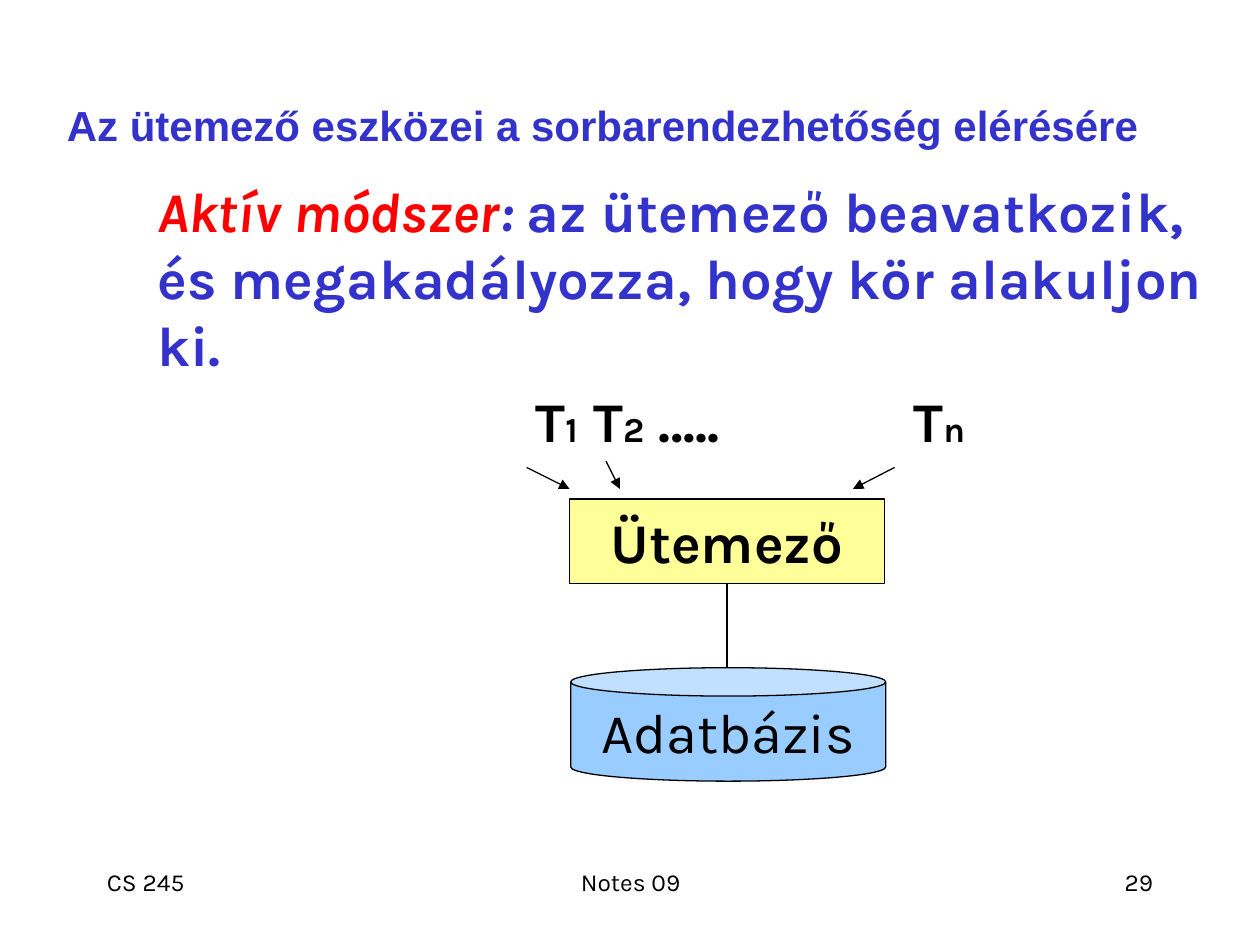
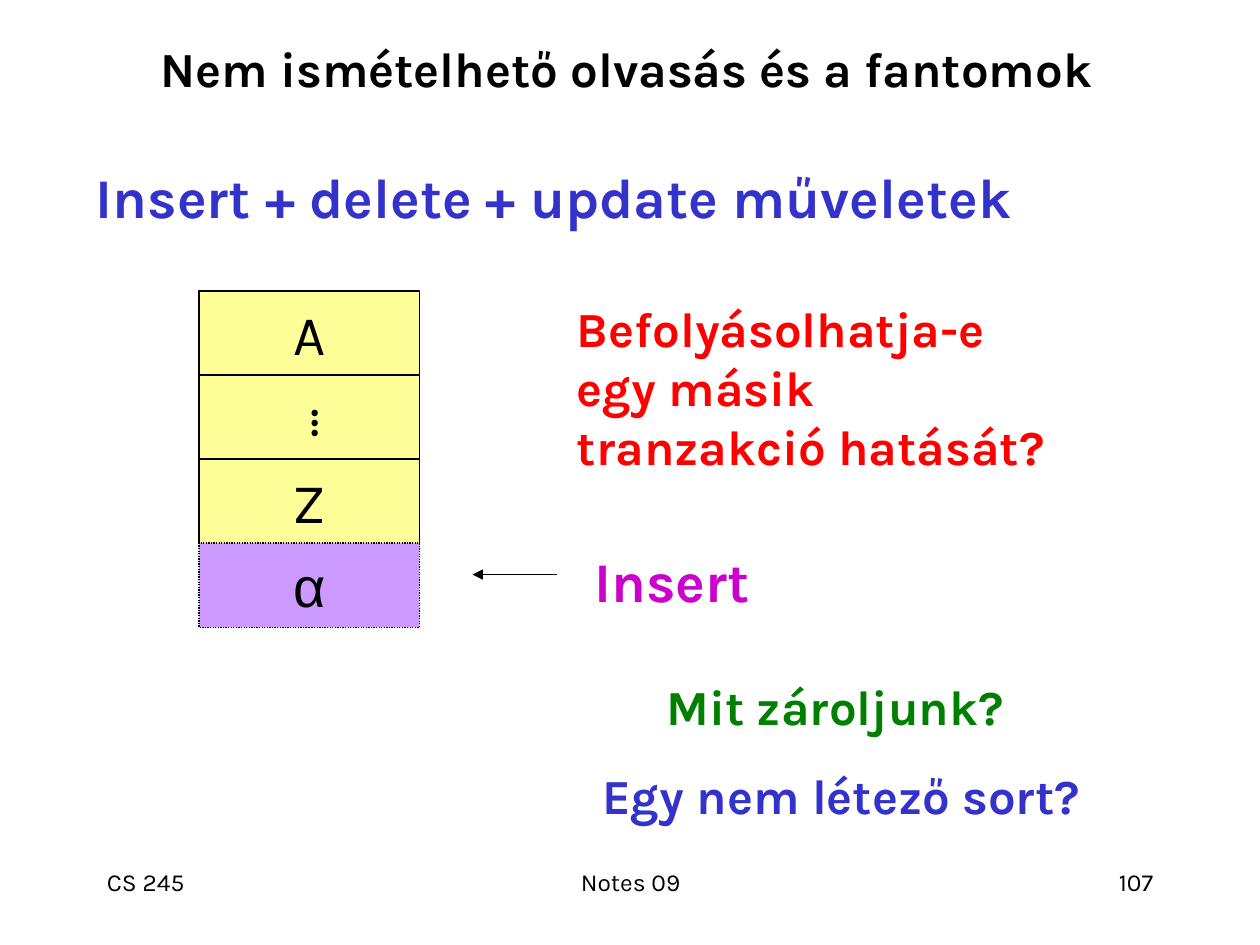
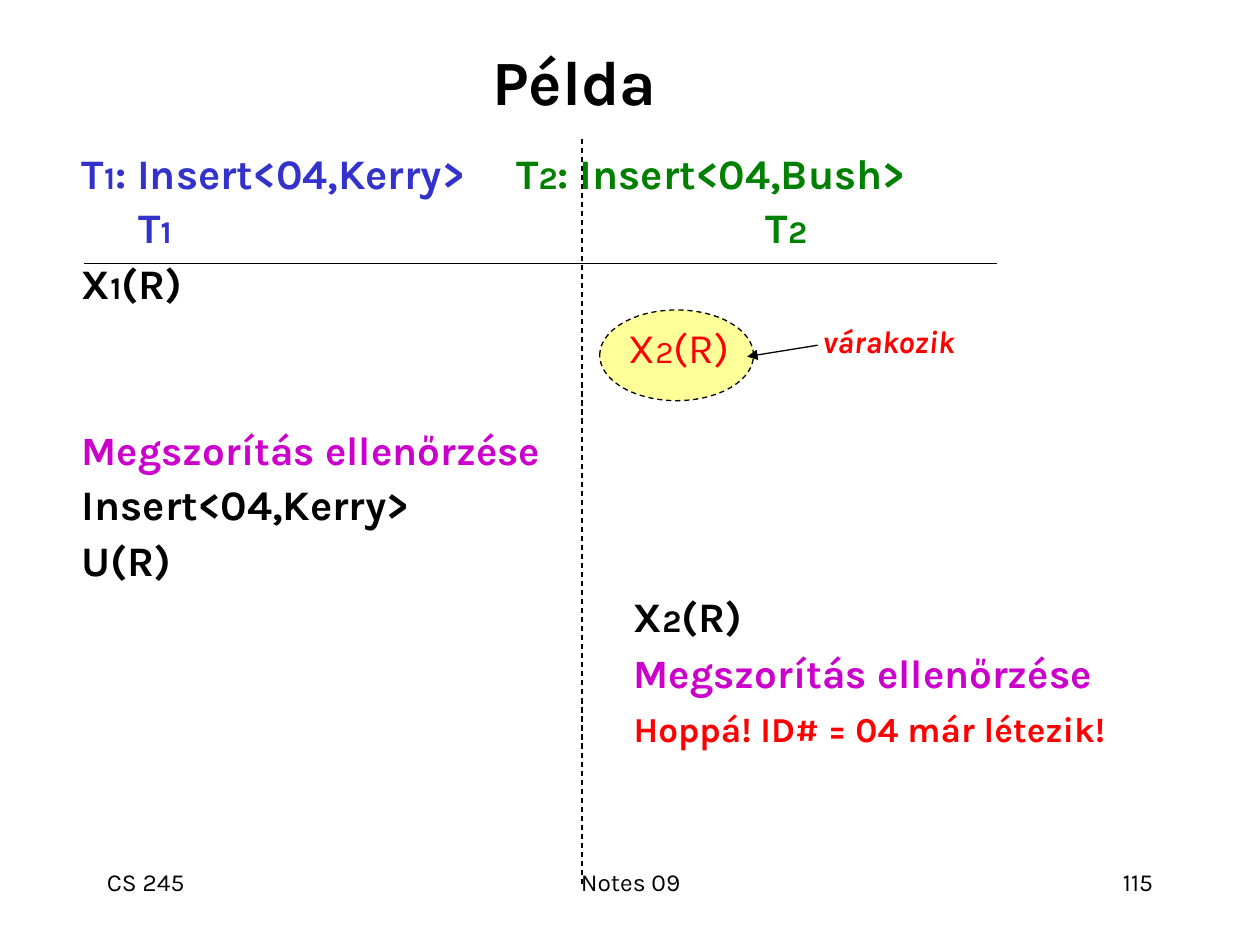
from dataclasses import dataclass

from lxml import etree
from pptx import Presentation
from pptx.dml.color import RGBColor
from pptx.enum.dml import MSO_LINE
from pptx.enum.shapes import MSO_CONNECTOR, MSO_SHAPE
from pptx.enum.text import MSO_ANCHOR, MSO_AUTO_SIZE, PP_ALIGN
from pptx.oxml.ns import qn
from pptx.util import Inches, Pt

LEFT, CENTER, RIGHT = PP_ALIGN.LEFT, PP_ALIGN.CENTER, PP_ALIGN.RIGHT
TOP, MIDDLE = MSO_ANCHOR.TOP, MSO_ANCHOR.MIDDLE
DASH, DOT = MSO_LINE.DASH, MSO_LINE.ROUND_DOT
RECTANGLE, CAN, OVAL = MSO_SHAPE.RECTANGLE, MSO_SHAPE.CAN, MSO_SHAPE.OVAL
STRAIGHT = MSO_CONNECTOR.STRAIGHT
TITLE_ONLY = 5
BOTTOM_SIDE = 2


@dataclass(frozen=True)
class Theme:
    font: str = "Karla"
    plain_font: str = "Arial"
    black: str = "000000"
    blue: str = "3333CC"
    red: str = "FF0000"
    green: str = "008000"
    magenta: str = "CC00CC"
    yellow: str = "FFFF99"
    sky: str = "99CCFF"
    violet: str = "CC99FF"
    headline: int = 36
    large: int = 32
    medium: int = 28
    body: int = 24
    check: int = 23
    small: int = 20
    index: int = 18
    footer: int = 14
    line: float = 0.75


THEME = Theme()


@dataclass
class Span:
    text: str
    size: int
    color: str = THEME.black
    bold: bool = True
    italic: bool = False
    font: str = THEME.font


@dataclass
class Para:
    spans: list
    align: PP_ALIGN = LEFT
    before: float = 0
    spacing: float = 1.0
    tabs: tuple = ()


def add_tabs(para, stops):
    tab_list = etree.SubElement(para._p.get_or_add_pPr(), qn("a:tabLst"))
    for stop in stops:
        etree.SubElement(tab_list, qn("a:tab"), pos=str(Inches(stop)), algn="l")


def write_text(box, paras, anchor=TOP, wrap=True, margin_left=0.1):
    frame = box.text_frame
    frame.auto_size = MSO_AUTO_SIZE.NONE
    frame.word_wrap = wrap
    frame.vertical_anchor = anchor
    frame.margin_left = Inches(margin_left)
    frame.margin_right = Inches(0.1)
    frame.margin_top = frame.margin_bottom = Inches(0.05)
    for number, content in enumerate(paras):
        para = frame.add_paragraph() if number else frame.paragraphs[0]
        if content.tabs:
            add_tabs(para, content.tabs)
        para.alignment = content.align
        para.space_before = Pt(content.before)
        para.line_spacing = content.spacing
        for span in content.spans:
            run = para.add_run()
            run.text = span.text
            run.font.name = span.font
            run.font.size = Pt(span.size)
            run.font.bold = span.bold
            run.font.italic = span.italic
            run.font.color.rgb = RGBColor.from_string(span.color)


def add_text(page, place, paras, **options):
    box = page.shapes.add_textbox(*map(Inches, place))
    write_text(box, paras, **options)
    return box


def style_line(line, dash=None):
    line.color.rgb = RGBColor.from_string(THEME.black)
    line.width = Pt(THEME.line)
    if dash:
        line.dash_style = dash


def add_figure(page, kind, place, fill, span=None, dash=None):
    figure = page.shapes.add_shape(kind, *map(Inches, place))
    figure.shadow.inherit = False
    figure.fill.solid()
    figure.fill.fore_color.rgb = RGBColor.from_string(fill)
    style_line(figure.line, dash)
    if span:
        write_text(figure, [Para([span], CENTER)], MIDDLE, wrap=False)
    return figure


def add_line(page, start, end, arrow=False, dash=None):
    connector = page.shapes.add_connector(STRAIGHT, *map(Inches, start + end))
    style_line(connector.line, dash)
    if arrow:
        etree.SubElement(connector.line._get_or_add_ln(), qn("a:tailEnd"), type="triangle")
    etree.SubElement(connector._element.spPr, qn("a:effectLst"))
    return connector


def add_page(deck, number, title_place, title, align=LEFT):
    page = deck.slides.add_slide(deck.slide_layouts[TITLE_ONLY])
    box = page.shapes.title
    box.left, box.top, box.width, box.height = map(Inches, title_place)
    write_text(box, [Para([title], align)], MIDDLE)
    footers = (
        ("CS 245", 0.75, 2.08, LEFT),
        ("Notes 09", 3.42, 3.17, CENTER),
        (str(number), 7.17, 2.08, RIGHT),
    )
    for text, left, width, side in footers:
        span = Span(text, THEME.footer, bold=False)
        add_text(page, (left, 6.83, width, 0.5), [Para([span], side)])
    return page


def indexed(letter, index, size, index_size, color=THEME.black, tail="", bold=True):
    spans = [Span(letter, size, color, bold), Span(index, index_size, color, bold)]
    if tail:
        spans.append(Span(tail, size, color, bold))
    return spans


def build_scheduler(deck):
    title = Span("Az ütemező eszközei a sorbarendezhetőség elérésére", THEME.body,
                 THEME.blue, font=THEME.plain_font)
    page = add_page(deck, 29, (0.43, 0.54, 9.28, 0.9), title)
    method = [
        Span("Aktív módszer", THEME.large, THEME.red, italic=True),
        Span(": ", THEME.large, THEME.blue, italic=True),
        Span("az ütemező beavatkozik, és megakadályozza, hogy kör alakuljon ki.",
             THEME.large, THEME.blue),
    ]
    transactions = (
        indexed("\tT", "1", THEME.large, THEME.small)
        + indexed("\tT", "2", THEME.large, THEME.small, tail=" …..")
        + indexed("\tT", "n", THEME.large, THEME.small)
    )
    add_text(page, (0.77, 1.35, 8.97, 5.11),
             [Para(method), Para(transactions, before=5, tabs=(3, 3.46, 6))],
             margin_left=0.48)
    scheduler = add_figure(page, RECTANGLE, (4.52, 3.96, 2.5, 0.67), THEME.yellow,
                           Span("Ütemező", THEME.large))
    add_figure(page, CAN, (4.53, 5.3, 2.5, 0.9), THEME.sky,
               Span("Adatbázis", THEME.large, bold=False))
    link = add_line(page, (5.77, 4.63), (5.77, 5.3))
    link.begin_connect(scheduler, BOTTOM_SIDE)
    for start, end in (((4.18, 3.71), (4.52, 3.88)),
                       ((4.81, 3.66), (4.92, 3.88)),
                       ((7.1, 3.71), (6.77, 3.88))):
        add_line(page, start, end, arrow=True)


def build_phantoms(deck):
    title = Span("Insert + delete + update műveletek", THEME.large, THEME.blue)
    page = add_page(deck, 107, (0.66, 1.02, 8.9, 1.08), title)
    rows = (
        (Span("A", THEME.large, bold=False), THEME.yellow, None),
        (None, THEME.yellow, None),
        (Span("Z", THEME.large, bold=False), THEME.yellow, None),
        (Span("α", THEME.large, bold=False, font=THEME.plain_font), THEME.violet, DOT),
    )
    for number, (span, fill, dash) in enumerate(rows):
        top = 2.31 + number * 2 / 3
        add_figure(page, RECTANGLE, (1.58, top, 1.75, 0.67), fill, span, dash)
    dots = add_text(page, (2.35, 3.04, 0.61, 0.64),
                    [Para([Span("...", THEME.large, bold=False)], CENTER)], anchor=MIDDLE)
    dots.rotation = 90
    add_line(page, (4.42, 4.56), (3.75, 4.56), arrow=True)
    add_text(page, (4.62, 4.29, 2, 0.65),
             [Para([Span("Insert", THEME.large, THEME.magenta)])])
    add_text(page, (0.72, 0.35, 8.5, 0.38),
             [Para([Span("Nem ismételhető olvasás és a fantomok", THEME.medium)], CENTER)],
             anchor=MIDDLE)
    question = Span("Befolyásolhatja-e egy másik tranzakció hatását?", THEME.medium, THEME.red)
    add_text(page, (4.48, 2.32, 4.09, 1.5), [Para([question])])
    add_text(page, (4.25, 5.32, 4.85, 1.28), [
        Para([Span("Mit zároljunk? ", THEME.medium, THEME.green)], CENTER),
        Para([Span("Egy nem létező sort?", THEME.medium, THEME.blue)], CENTER, 17.5),
    ])


def schedule_row(spans, before=6.0, tabs=(4.38,)):
    return Para(spans, before=before, spacing=0.9, tabs=tabs)


def build_example(deck):
    page = add_page(deck, 115, (0.31, 0.21, 8.5, 0.86), Span("Példa", THEME.headline), CENTER)
    sizes = (THEME.body, THEME.index)
    check = "Megszorítás ellenőrzése"
    heading = (indexed("T", "1", *sizes, THEME.blue, ": Insert<04,Kerry>")
               + indexed("\tT", "2", *sizes, THEME.green, ": Insert<04,Bush>"))
    columns = (indexed("\tT", "1", *sizes, THEME.blue)
               + indexed("\tT", "2", *sizes, THEME.green))
    add_text(page, (0.55, 1.17, 8.75, 5.51), [
        schedule_row(heading, 0, (3.45,)),
        schedule_row(columns, 4.5, (0.45, 5.43)),
        schedule_row(indexed("X", "1", *sizes, tail="(R)")),
        schedule_row([Span(check, THEME.check, THEME.magenta)], 70),
        schedule_row([Span("Insert<04,Kerry>", THEME.body)]),
        schedule_row([Span("U(R)", THEME.body)]),
        schedule_row(indexed("\tX", "2", *sizes, tail="(R)")),
        schedule_row([Span("\t", THEME.body), Span(check, THEME.check, THEME.magenta)], 5.8),
        schedule_row([Span("\t", THEME.body),
                      Span("Hoppá! ID# = 04 már létezik!", THEME.small, THEME.red)], 5),
    ])
    add_line(page, (0.67, 2.09), (7.91, 2.09))
    add_line(page, (4.62, 1.1), (4.62, 7.03), dash=DASH)
    add_figure(page, OVAL, (4.76, 2.46, 1.22, 0.72), THEME.yellow, dash=DASH)
    add_text(page, (4.89, 2.5, 1.01, 0.5),
             [Para(indexed("X", "2", *sizes, THEME.red, "(R)", bold=False))])
    add_text(page, (6.43, 2.51, 2.31, 0.4),
             [Para([Span("várakozik", THEME.index, THEME.red, italic=True)])])
    add_line(page, (6.49, 2.74), (5.93, 2.83), arrow=True)


def main():
    deck = Presentation()
    deck.slide_width, deck.slide_height = Inches(10), Inches(7.5)
    build_scheduler(deck)
    build_phantoms(deck)
    build_example(deck)
    deck.save("out.pptx")


if __name__ == "__main__":
    main()
